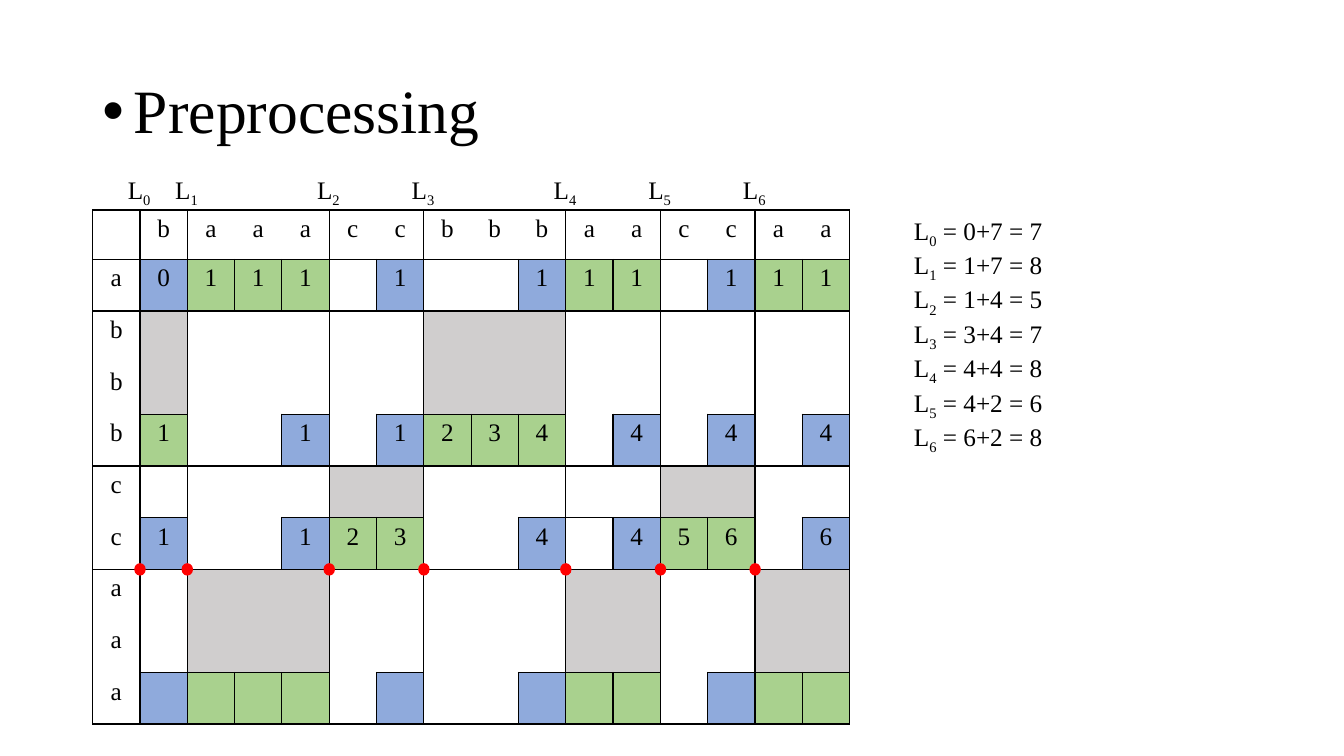
"""Build the preprocessing slide with its run-length alignment grid."""
from dataclasses import dataclass

from lxml import etree
from pptx import Presentation
from pptx.dml.color import RGBColor
from pptx.enum.shapes import MSO_SHAPE
from pptx.enum.text import MSO_ANCHOR, MSO_AUTO_SIZE, PP_ALIGN
from pptx.oxml.ns import qn
from pptx.util import Pt

OVAL = MSO_SHAPE.OVAL
MIDDLE = MSO_ANCHOR.MIDDLE
FIXED = MSO_AUTO_SIZE.NONE
LEFT, CENTER = PP_ALIGN.LEFT, PP_ALIGN.CENTER

COLS = " baaaccbbbaaccaa"
ROWS = " abbbccaaa"
VALUES = {
    1: " 0111 1  111 111",
    4: " 1  1 1234 4 4 4",
    6: " 1  123  4 456 6",
}
SUMS = ["0+7 = 7", "1+7 = 8", "1+4 = 5", "3+4 = 7", "4+4 = 8", "4+2 = 6", "6+2 = 8"]
EXTRA = (6, 10)
GRID_X, GRID_Y = 66.2, 150
COL_W, HEAD_H, ROW_H = 33.8, 35.3, 36.9


@dataclass
class Theme:
    """Colours, font and type sizes."""
    font: str = "Times New Roman"
    title: int = 44
    text: int = 18
    ink: str = "000000"
    match: str = "A9D18E"
    edge: str = "8FAADC"
    block: str = "D0CECE"
    dot: str = "FF0000"


def ends(word, k):
    """Tell whether a run of equal letters ends at k."""
    return k == len(word) - 1 or word[k + 1] != word[k]


def kind(row, col):
    """Name the theme colour of a cell, or None for a plain one."""
    if not row or not col:
        return None
    same = ROWS[row] == COLS[col]
    if not ends(ROWS, row):
        return "block" if same else None
    if same:
        return "match"
    return "edge" if ends(COLS, col) else None


def ruled(cell, other):
    """Tell whether a line parts two neighbouring cells."""
    row, col = other
    if not (0 <= row < len(ROWS) and 0 <= col < len(COLS)):
        return True
    if ROWS[cell[0]] != ROWS[row] or COLS[cell[1]] != COLS[col]:
        return True
    boxed = {kind(*cell), kind(*other)} & {"match", "edge"}
    return bool(boxed) or (cell[1] == col and EXTRA in (cell, other))


class Deck:
    """Holds the style and the current slide."""

    def __init__(self, theme):
        """Open a one-slide deck."""
        self.theme = theme
        self.file = Presentation()
        self.file.slide_width, self.file.slide_height = Pt(960), Pt(540)
        self.slide = self.file.slides.add_slide(self.file.slide_layouts[5])

    def run(self, para, text, size=None, base=0):
        """Add one styled run."""
        run = para.add_run()
        run.text = text
        run.font.name = self.theme.font
        run.font.size = Pt(size or self.theme.text)
        run.font.color.rgb = RGBColor.from_string(self.theme.ink)
        if base:
            run._r.get_or_add_rPr().set("baseline", str(base * 1000))

    def title(self, text, x, y, w, h):
        """Fill the title placeholder with a bulleted line."""
        shape = self.slide.shapes.title
        shape.left, shape.top, shape.width, shape.height = map(Pt, (x, y, w, h))
        frame = shape.text_frame
        frame.auto_size, frame.vertical_anchor = FIXED, MIDDLE
        para = frame.paragraphs[0]
        props = para._p.get_or_add_pPr()
        props.set("marL", str(Pt(22.5)))
        props.set("indent", str(-Pt(22.5)))
        etree.SubElement(props, qn("a:buFont")).set("typeface", "Arial")
        etree.SubElement(props, qn("a:buChar")).set("char", "•")
        para.alignment, para.line_spacing = LEFT, 0.9
        self.run(para, text, self.theme.title)

    def lines(self, items, x, y, w, h, wrap=True):
        """Add a text box of L terms given as (index, tail)."""
        frame = self.slide.shapes.add_textbox(*map(Pt, (x, y, w, h))).text_frame
        frame.word_wrap = wrap
        for n, (index, tail) in enumerate(items):
            para = frame.add_paragraph() if n else frame.paragraphs[0]
            self.run(para, "L")
            self.run(para, str(index), base=-25)
            if tail:
                self.run(para, tail)

    def dot(self, x, y, w=7.2, h=7.9):
        """Add a dot centred on a point."""
        shape = self.slide.shapes.add_shape(
            OVAL, *map(Pt, (x - w / 2, y - h / 2, w, h)))
        shape.shadow.inherit = False
        color = RGBColor.from_string(self.theme.dot)
        shape.fill.solid()
        shape.fill.fore_color.rgb = color
        shape.line.color.rgb = color
        shape.line.width = Pt(1)

    def rule(self, cell, side, shown):
        """Set one border of a cell."""
        line = etree.SubElement(cell._tc.get_or_add_tcPr(), qn("a:ln" + side))
        line.set("w", str(Pt(1)))
        if shown:
            fill = etree.SubElement(line, qn("a:solidFill"))
            etree.SubElement(fill, qn("a:srgbClr")).set("val", self.theme.ink)
        else:
            etree.SubElement(line, qn("a:noFill"))

    def cell(self, cell, row, col):
        """Style and fill one cell of the grid."""
        near = {"L": (row, col - 1), "R": (row, col + 1),
                "T": (row - 1, col), "B": (row + 1, col)}
        for side, other in near.items():
            self.rule(cell, side, ruled((row, col), other))
        name = kind(row, col)
        if name:
            cell.fill.solid()
            cell.fill.fore_color.rgb = RGBColor.from_string(getattr(self.theme, name))
        else:
            cell.fill.background()
        if row == 0:
            text = COLS[col]
        elif col == 0:
            text = ROWS[row]
        else:
            text = VALUES.get(row, COLS)[col] if row in VALUES else ""
        para = cell.text_frame.paragraphs[0]
        para.alignment = CENTER
        if text.strip():
            self.run(para, text)

    def grid(self, x, y):
        """Add the alignment table."""
        wide, high = len(COLS), len(ROWS)
        size = (wide * COL_W, HEAD_H + (high - 1) * ROW_H)
        table = self.slide.shapes.add_table(
            high, wide, *map(Pt, (x, y, *size))).table
        table.first_row = table.horz_banding = False
        for col in table.columns:
            col.width = Pt(COL_W)
        for row, line in enumerate(table.rows):
            line.height = Pt(ROW_H if row else HEAD_H)
            for col in range(wide):
                self.cell(table.cell(row, col), row, col)


def main():
    """Draw the slide and save it."""
    deck = Deck(Theme())
    deck.title("Preprocessing", 66, 28.8, 828, 104.4)
    sums = [(n, " = " + text) for n, text in enumerate(SUMS)]
    deck.lines(sums, 645.8, 150, 268.6, 181.4)
    deck.grid(GRID_X, GRID_Y)
    starts = [k for k in range(1, len(COLS)) if COLS[k] != COLS[k - 1]]
    base = GRID_Y + HEAD_H + 6 * ROW_H
    for n, k in enumerate(starts):
        x = GRID_X + k * COL_W
        deck.lines([(n, "")], x - 15.8, 121, 31.6, 29, wrap=False)
        deck.dot(x, base)
    deck.file.save("out.pptx")


if __name__ == "__main__":
    main()
